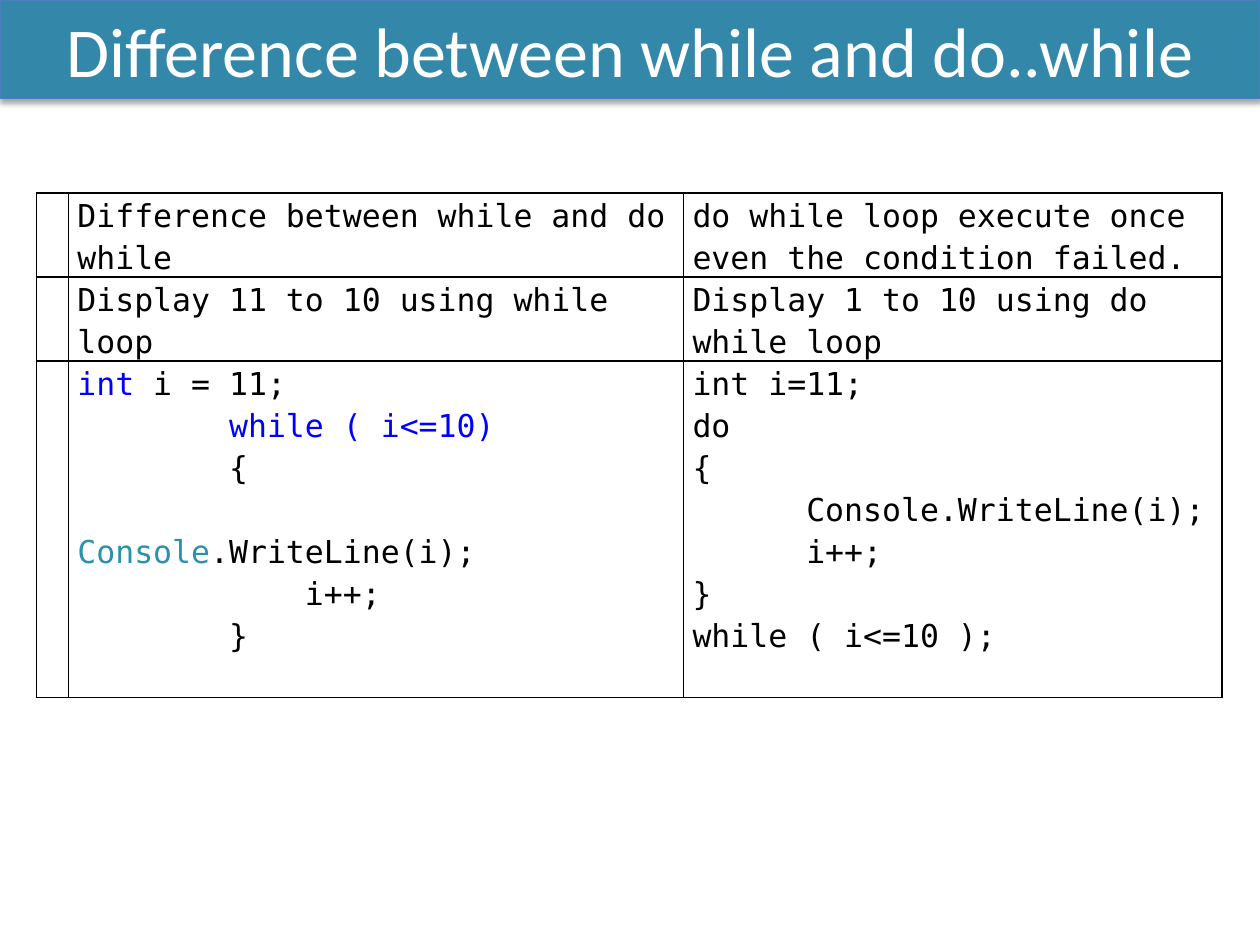
from dataclasses import dataclass

from lxml.etree import SubElement
from pptx import Presentation
from pptx.dml.color import RGBColor as RGB
from pptx.enum.text import MSO_ANCHOR as Anchor, MSO_AUTO_SIZE as AutoSize, PP_ALIGN as Align
from pptx.oxml import parse_xml
from pptx.oxml.ns import nsdecls, qn
from pptx.util import Cm, Pt


@dataclass(frozen=True)
class Theme:
    banner: str = "3388A9"
    banner_line: str = "4B7EBC"
    white: str = "FFFFFF"
    ink: str = "000000"
    keyword: str = "0000FF"
    type_name: str = "2B91AF"
    title_font: str = "Calibri"
    code_font: str = "DejaVu Sans Mono"
    title_size: int = 40
    code_size: int = 18


T = Theme()

TITLE = "Difference between while and do..while"

WHILE_CODE = [
    [("int", T.keyword), " i = 11;"],
    [("        while ( i<=10)", T.keyword)],
    "        {",
    ["            ", ("Console", T.type_name), ".WriteLine(i);"],
    "            i++;",
    "        }",
]
DO_CODE = [
    "int i=11;",
    "do",
    "{",
    "      Console.WriteLine(i);",
    "      i++;",
    "}",
    "while ( i<=10 );",
]
ROWS = [
    ([], ["Difference between while and do while"],
     ["do while loop execute once even the condition failed."]),
    ([], ["Display 11 to 10 using while loop"], ["Display 1 to 10 using do while loop"]),
    ([], WHILE_CODE, DO_CODE),
]
COL_WIDTHS = [0.64, 12.4, 10.85]
LINE_HEIGHT = 0.847
ROW_LINES = [2, 2, 8]


def write(tf, lines, font=T.code_font, size=T.code_size, color=T.ink, align=Align.LEFT, spacing=1.0):
    for i, line in enumerate(lines):
        p = tf.paragraphs[0] if i == 0 else tf.add_paragraph()
        p.alignment, p.line_spacing = align, spacing
        for part in [line] if isinstance(line, str) else line:
            text, tint = (part, color) if isinstance(part, str) else part
            r = p.add_run()
            r.text = text
            r.font.name, r.font.size = font, Pt(size)
            r.font.color.rgb = RGB.from_string(tint)


def add_borders(cell):
    tcPr = cell._tc.get_or_add_tcPr()
    for i, side in enumerate(("lnL", "lnR", "lnT", "lnB")):
        ln = parse_xml(f'<a:{side} {nsdecls("a")} w="{Pt(1)}"/>')
        fill = SubElement(ln, qn("a:solidFill"))
        SubElement(fill, qn("a:srgbClr"), val=T.ink)
        tcPr.insert(i, ln)


def add_shadow(sp):
    sp._element.spPr.append(parse_xml(
        f'<a:effectLst {nsdecls("a")}>'
        f'<a:outerShdw blurRad="{Pt(3.1)}" dist="{Pt(1.8)}" dir="5400000" rotWithShape="0">'
        f'<a:srgbClr val="{T.ink}"><a:alpha val="35000"/></a:srgbClr>'
        '</a:outerShdw></a:effectLst>'))


def add_title(s, width):
    sp = s.shapes.title
    sp.left, sp.top, sp.width, sp.height = 0, 0, width, Cm(1.98)
    sp.fill.solid()
    sp.fill.fore_color.rgb = RGB.from_string(T.banner)
    sp.line.color.rgb = RGB.from_string(T.banner_line)
    sp.line.width = Pt(0.75)
    add_shadow(sp)
    tf = sp.text_frame
    tf.auto_size, tf.word_wrap = AutoSize.NONE, True
    tf.vertical_anchor = Anchor.MIDDLE
    write(tf, [TITLE], font=T.title_font, size=T.title_size, color=T.white, align=Align.CENTER)


def add_comparison(s):
    heights = [n * LINE_HEIGHT for n in ROW_LINES]
    table = s.shapes.add_table(len(ROWS), len(COL_WIDTHS), Cm(0.74), Cm(3.89),
                               Cm(sum(COL_WIDTHS)), Cm(sum(heights))).table
    table.first_row = table.horz_banding = False
    for col, width in zip(table.columns, COL_WIDTHS):
        col.width = Cm(width)
    for row, height, contents in zip(table.rows, heights, ROWS):
        row.height = Cm(height)
        for cell, lines in zip(row.cells, contents):
            cell.margin_left = cell.margin_right = Cm(0.18)
            cell.margin_top = cell.margin_bottom = 0
            cell.fill.solid()
            cell.fill.fore_color.rgb = RGB.from_string(T.white)
            add_borders(cell)
            write(cell.text_frame, lines, spacing=1.15)


def main():
    prs = Presentation()
    prs.slide_width, prs.slide_height = Cm(25.4), Cm(19.05)
    s = prs.slides.add_slide(prs.slide_layouts[5])
    add_comparison(s)
    add_title(s, prs.slide_width)
    prs.save("out.pptx")


if __name__ == "__main__":
    main()
